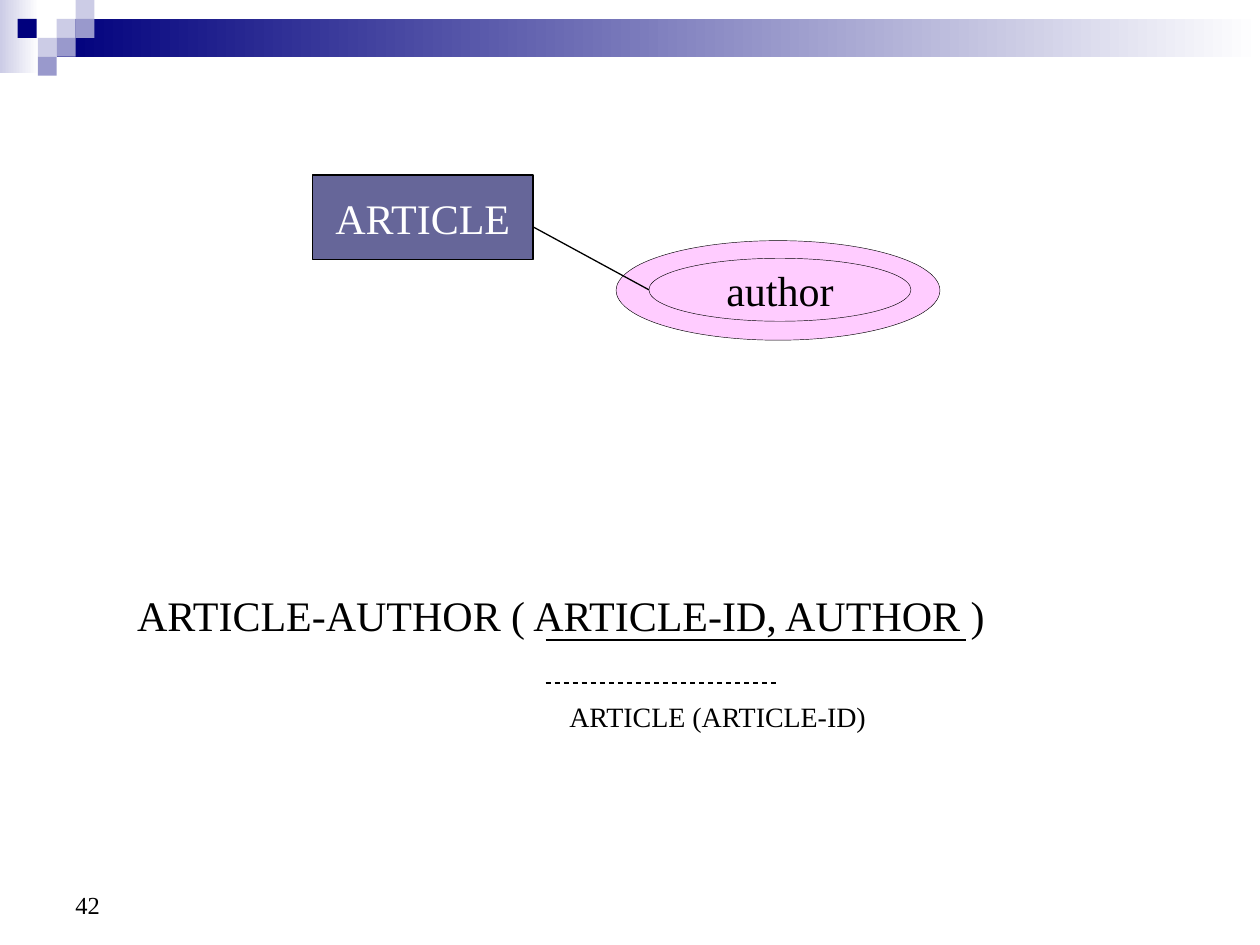
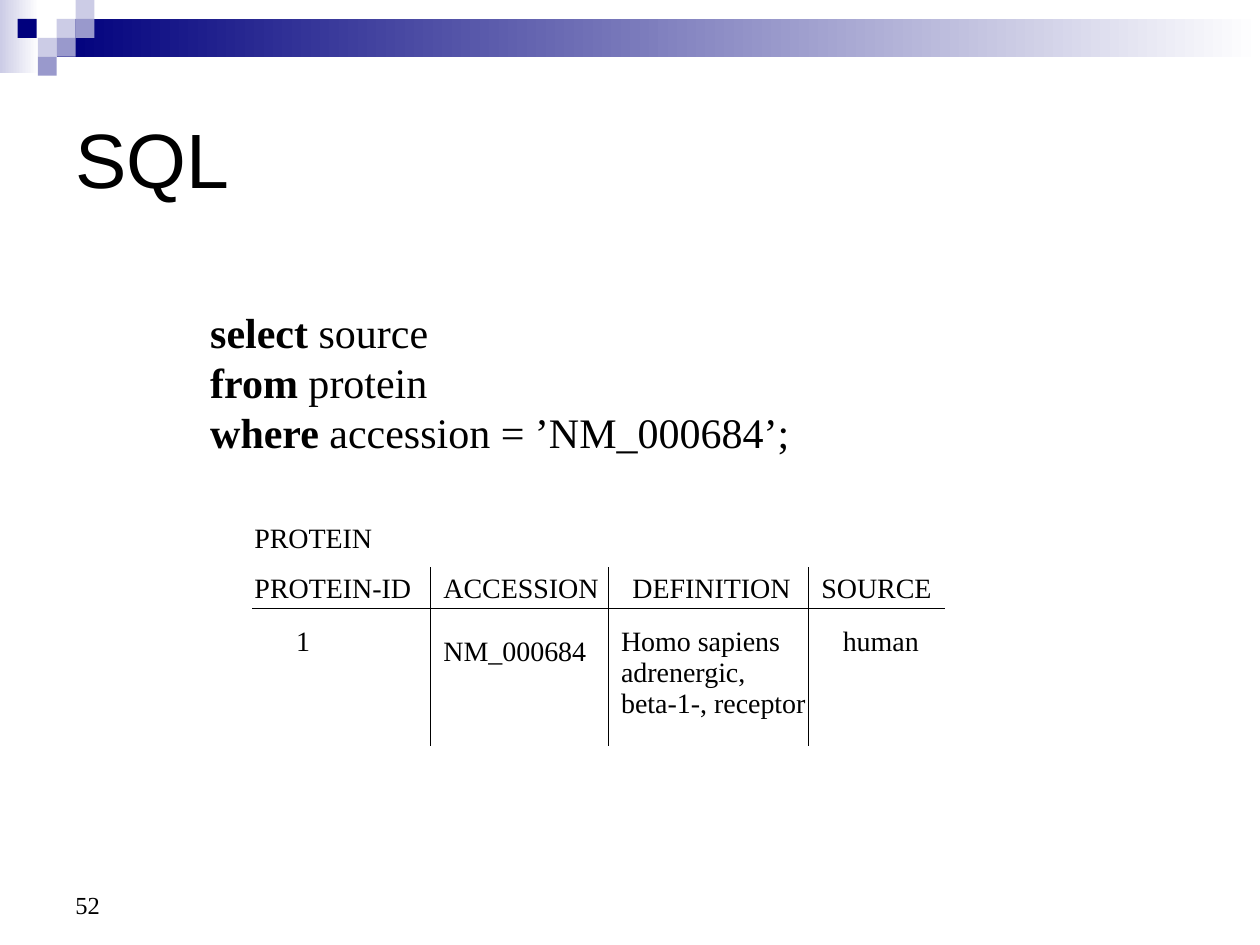
"""Builds two database lecture slides: a multivalued attribute and an SQL query."""
from dataclasses import dataclass

from lxml import etree
from pptx import Presentation
from pptx.dml.color import RGBColor
from pptx.enum import dml, shapes, text
from pptx.oxml import ns
from pptx.util import Inches, Pt


@dataclass(frozen=True)
class Theme:
    navy: str = "00007D"
    periwinkle: str = "9999CC"
    lavender: str = "CCCCE6"
    slate: str = "666699"
    pink: str = "FFCCFF"
    white: str = "FFFFFF"
    black: str = "000000"
    serif: str = "Times New Roman"
    sans: str = "Arial"
    title: int = 44
    body: int = 24
    detail: int = 16
    number: int = 14
    rule: float = 0.75
    hairline: float = 0.25


theme = Theme()


def set_text(frame, content, size, color=theme.black, font=theme.serif, wrap=False):
    frame.text = content
    frame.word_wrap = wrap
    for paragraph in frame.paragraphs:
        for run in paragraph.runs:
            run.font.size = Pt(size)
            run.font.name = font
            run.font.color.rgb = RGBColor.from_string(color)
    return frame


def draw_rule(slide, start, end):
    rule = slide.shapes.add_connector(
        shapes.MSO_CONNECTOR.STRAIGHT, *[Inches(v) for v in (*start, *end)])
    rule.line.color.rgb = RGBColor.from_string(theme.black)
    rule.line.width = Pt(theme.rule)
    etree.SubElement(rule._element.spPr, ns.qn("a:effectLst"))
    return rule


deck = Presentation()
deck.slide_width, deck.slide_height = Inches(10), Inches(7.5)

tile = 0.15
bands = [((0, 0, 0.31, 0.58), theme.lavender), ((0.45, 0.15, 9.55, 0.3), theme.navy)]
mosaic = [
    (0.45, 0.15, theme.lavender), (0.6, 0, theme.lavender),
    (0.6, 0.15, theme.periwinkle), (0.3, 0.3, theme.lavender),
    (0.14, 0.15, theme.navy), (0.45, 0.3, theme.periwinkle),
    (0.3, 0.45, theme.periwinkle),
]
header = [(box, (color, theme.white)) for box, color in bands]
header += [((x, y, tile, tile), (color,)) for x, y, color in mosaic]

pages = []
for page_number in ("42", "52"):
    page = deck.slides.add_slide(deck.slide_layouts[6])
    for box, colors in header:
        block = page.shapes.add_shape(
            shapes.MSO_SHAPE.RECTANGLE, *[Inches(v) for v in box])
        block.shadow.inherit = False
        block.line.fill.background()
        if len(colors) == 1:
            block.fill.solid()
            block.fill.fore_color.rgb = RGBColor.from_string(colors[0])
        else:
            block.fill.gradient()
            block.fill.gradient_angle = 0
            for position, (stop, color) in enumerate(zip(block.fill.gradient_stops, colors)):
                stop.position = position
                stop.color.rgb = RGBColor.from_string(color)
    footer = page.shapes.add_textbox(Inches(0.5), Inches(6.83), Inches(2.33), Inches(0.52))
    set_text(footer.text_frame, page_number, theme.number, wrap=True)
    footer.text_frame.vertical_anchor = text.MSO_ANCHOR.BOTTOM
    pages.append(page)
attribute_slide, sql_slide = pages

for box, content, size in [
    ((0.99, 4.63, 7, 0.5), "ARTICLE-AUTHOR ( ARTICLE-ID, AUTHOR )", theme.body),
    ((4.42, 5.5, 2.58, 0.37), "ARTICLE (ARTICLE-ID)", theme.detail),
]:
    relation = attribute_slide.shapes.add_textbox(*[Inches(v) for v in box])
    set_text(relation.text_frame, content, size)

draw_rule(attribute_slide, (4.33, 5.08), (7.67, 5.08))
foreign_key = draw_rule(attribute_slide, (4.33, 5.42), (6.17, 5.42))
foreign_key.line.dash_style = dml.MSO_LINE.DASH

oval, rectangle = shapes.MSO_SHAPE.OVAL, shapes.MSO_SHAPE.RECTANGLE
for outline, box, fill, width, label, color in [
    (oval, (4.89, 1.91, 2.57, 0.79), theme.pink, theme.hairline, "", theme.black),
    (oval, (5.15, 2.05, 2.08, 0.5), theme.pink, theme.hairline, "author", theme.black),
    (rectangle, (2.48, 1.39, 1.75, 0.67), theme.slate, theme.rule, "ARTICLE", theme.white),
]:
    node = attribute_slide.shapes.add_shape(outline, *[Inches(v) for v in box])
    node.shadow.inherit = False
    node.fill.solid()
    node.fill.fore_color.rgb = RGBColor.from_string(fill)
    node.line.color.rgb = RGBColor.from_string(theme.black)
    node.line.width = Pt(width)
    if label:
        set_text(node.text_frame, label, theme.body, color)
        node.text_frame.vertical_anchor = text.MSO_ANCHOR.MIDDLE
        node.text_frame.paragraphs[0].alignment = text.PP_ALIGN.CENTER
draw_rule(attribute_slide, (4.23, 1.8), (5.15, 2.3))

heading = sql_slide.shapes.add_textbox(Inches(0.5), Inches(0.5), Inches(9), Inches(1.5))
set_text(heading.text_frame, "SQL", theme.title, font=theme.sans, wrap=True)
heading.text_frame.vertical_anchor = text.MSO_ANCHOR.MIDDLE

clauses = ["select source", "from protein", "where accession = ’NM_000684’;"]
query = sql_slide.shapes.add_textbox(Inches(1.57), Inches(2.38), Inches(4.97), Inches(1.3))
set_text(query.text_frame, "\n".join(clauses), theme.body)
for clause in query.text_frame.paragraphs:
    keyword = clause.runs[0]
    word, rest = keyword.text.split(" ", 1)
    keyword.text = word
    keyword.font.bold = True
    remainder = clause.add_run()
    remainder.text = " " + rest
    remainder.font.size = Pt(theme.body)
    remainder.font.name = theme.serif
    remainder.font.color.rgb = RGBColor.from_string(theme.black)

table_name = sql_slide.shapes.add_textbox(Inches(1.92), Inches(4.08), Inches(1.19), Inches(0.37))
set_text(table_name.text_frame, "PROTEIN", theme.detail)

column_edges = [2, 3.42, 4.83, 6.42, 7.5]
row_edges = [4.5, 4.83, 5.92]
protein_rows = [
    [("PROTEIN-ID", 0.02, 0.05), ("ACCESSION", 0.1, 0.05),
     ("DEFINITION", 0.19, 0.05), ("SOURCE", 0.1, 0.05)],
    [("1", 0.35, 0.14), ("NM_000684", 0.1, 0.22),
     ("Homo sapiens adrenergic,\nbeta-1-, receptor", 0.1, 0.14), ("human", 0.27, 0.14)],
]
protein = sql_slide.shapes.add_table(
    2, 4, Inches(column_edges[0]), Inches(row_edges[0]),
    Inches(column_edges[-1] - column_edges[0]), Inches(row_edges[-1] - row_edges[0])).table
protein.first_row = protein.horz_banding = False
no_grid = "{2D5ABB26-0587-4C30-8999-92F81FD0307C}"
protein._tbl.tblPr.find(ns.qn("a:tableStyleId")).text = no_grid
for column, left, right in zip(protein.columns, column_edges, column_edges[1:]):
    column.width = Inches(right - left)
for row, top, bottom in zip(protein.rows, row_edges, row_edges[1:]):
    row.height = Inches(bottom - top)

for r, values in enumerate(protein_rows):
    for c, (value, indent, drop) in enumerate(values):
        cell = protein.cell(r, c)
        set_text(cell.text_frame, value, theme.detail, wrap=True)
        cell.margin_left, cell.margin_top = Inches(indent), Inches(drop)
        cell.margin_right = cell.margin_bottom = 0
        cell.fill.background()
        sides = ["a:lnR"] * (c < 3) + ["a:lnB"] * (r == 0)
        for place, side in enumerate(sides):
            border = etree.Element(ns.qn(side), w=str(Pt(theme.rule)))
            ink = etree.SubElement(border, ns.qn("a:solidFill"))
            etree.SubElement(ink, ns.qn("a:srgbClr"), val=theme.black)
            cell._tc.tcPr.insert(place, border)

deck.save("out.pptx")
